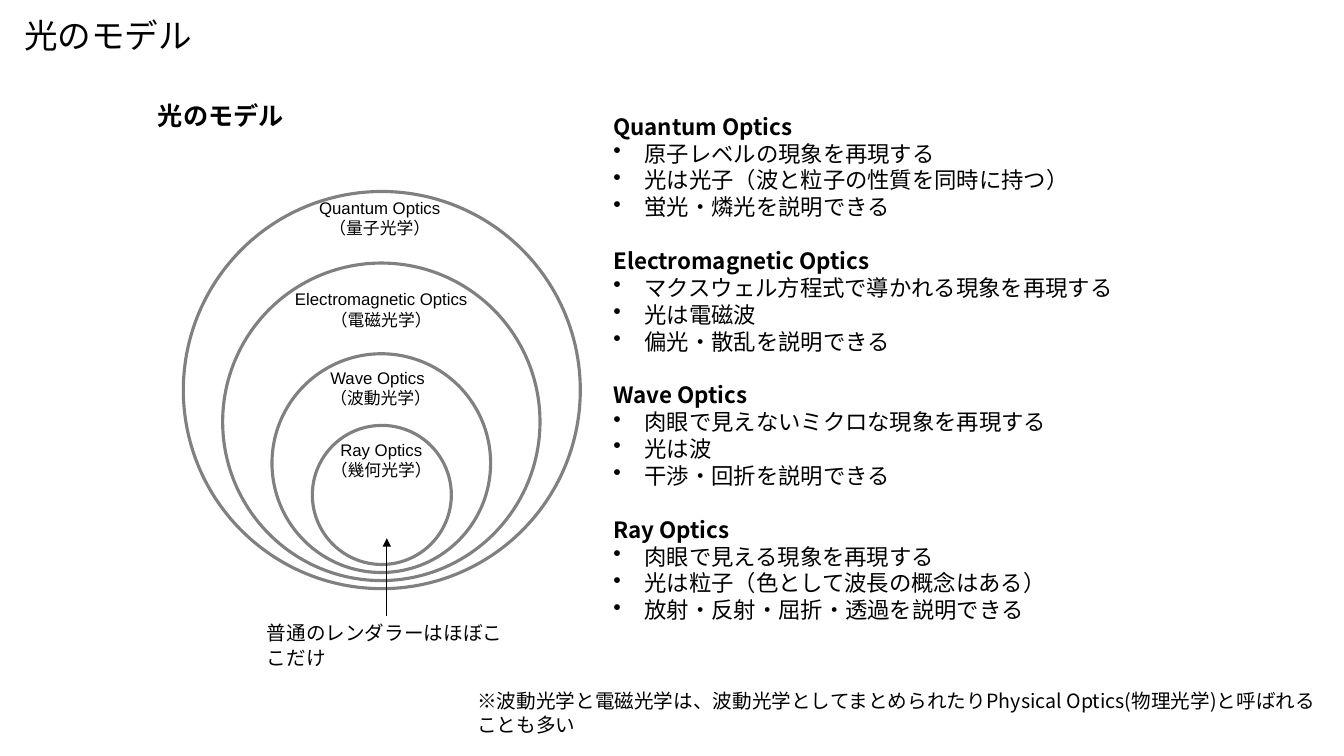
from collections import namedtuple
from dataclasses import dataclass

from lxml import etree
from pptx import Presentation
from pptx import util as u
from pptx.dml.color import RGBColor
from pptx.enum import shapes, text
from pptx.oxml import ns

PX = 9144  # EMU per px, 100 px to the inch
Box = namedtuple("Box", "left top width height")
Model = namedtuple("Model", "name translation diameter label_box align facts")


@dataclass(frozen=True)
class Theme:
    ink: RGBColor = RGBColor(0, 0, 0)
    ring: RGBColor = RGBColor(0x80, 0x80, 0x80)
    japanese: str = "Noto Sans CJK JP"
    latin: str = "Arial"
    title: int = 24
    heading: int = 18
    body: int = 16
    note: int = 14
    label: int = 12
    body_line: float = 19.2
    note_line: float = 17.2
    ring_line: float = 2.25
    arrow_line: float = 0.75


THEME = Theme()
CENTER, LEFT = text.PP_ALIGN.CENTER, text.PP_ALIGN.LEFT

# Outermost first; label boxes are relative to the diagram.
MODELS = [
    Model("Quantum Optics", "（量子光学）", 394, Box(124, 1, 142, 50), CENTER,
          ["原子レベルの現象を再現する", "光は光子（波と粒子の性質を同時に持つ）",
           "蛍光・燐光を説明できる"]),
    Model("Electromagnetic Optics", "（電磁光学）", 315, Box(100, 92, 193, 50), CENTER,
          ["マクスウェル方程式で導かれる現象を再現する", "光は電磁波",
           "偏光・散乱を説明できる"]),
    Model("Wave Optics", "（波動光学）", 217, Box(136, 170, 121, 50), LEFT,
          ["肉眼で見えないミクロな現象を再現する", "光は波",
           "干渉・回折を説明できる"]),
    Model("Ray Optics", "（幾何光学）", 138, Box(136, 241, 121, 50), CENTER,
          ["肉眼で見える現象を再現する", "光は粒子（色として波長の概念はある）",
           "放射・反射・屈折・透過を説明できる"]),
]


def place(box):
    return [u.Emu(length * PX) for length in box]


def inside(parent, box):
    return box._replace(left=parent.left + box.left, top=parent.top + box.top)


def format_paragraph(paragraph, size, latin=THEME.japanese, bold=False,
                     line=None, align=LEFT):
    paragraph.alignment = align
    if line:
        paragraph.line_spacing = u.Pt(line)
    for run in paragraph.runs:
        font = run.font
        font.size, font.bold, font.name = u.Pt(size), bold, latin
        font.color.rgb = THEME.ink
        east_asian = etree.Element(ns.qn("a:ea"), typeface=THEME.japanese)
        run._r.get_or_add_rPr().find(ns.qn("a:latin")).addnext(east_asian)


def add_text(slide, box, content, size, wrap=False, **style):
    shape = slide.shapes.add_textbox(*place(box))
    frame = shape.text_frame
    frame.word_wrap = wrap
    frame.text = content
    for paragraph in frame.paragraphs:
        format_paragraph(paragraph, size, **style)
    return shape


def add_bullet(paragraph, indent):
    properties = paragraph._p.get_or_add_pPr()
    properties.set("marL", str(indent * PX))
    properties.set("indent", str(-indent * PX))
    etree.SubElement(properties, ns.qn("a:buChar"), char="•")


def add_title(slide, box, content):
    title = slide.shapes.title
    title.left, title.top, title.width, title.height = place(box)
    frame = title.text_frame
    frame.text = content
    frame.word_wrap = False
    frame.vertical_anchor = text.MSO_ANCHOR.BOTTOM
    frame.margin_left = frame.margin_right = 0
    frame.margin_top = frame.margin_bottom = 0
    format_paragraph(frame.paragraphs[0], THEME.title)


def add_nested_circles(slide, box):
    """Circles on one vertical axis, their bottoms rising by an equal step."""
    step = 8
    for index, model in enumerate(MODELS):
        size = model.diameter
        circle_box = Box((box.width - size) // 2,
                         box.height - step * index - size, size, size)
        circle = slide.shapes.add_shape(
            shapes.MSO_SHAPE.OVAL, *place(inside(box, circle_box)))
        circle.shadow.inherit = False
        circle.fill.background()
        circle.line.color.rgb = THEME.ring
        circle.line.width = u.Pt(THEME.ring_line)
    for model in MODELS:
        add_text(slide, inside(box, model.label_box),
                 f"{model.name}\n{model.translation}", THEME.label,
                 latin=THEME.latin, align=model.align)


def add_callout(slide, box, content, arrow_length):
    """Note with an arrow rising from the middle of its top side."""
    note = add_text(slide, box, content, THEME.note, wrap=True,
                    line=THEME.note_line)
    x = box.left + box.width // 2
    arrow = slide.shapes.add_connector(
        shapes.MSO_CONNECTOR.STRAIGHT,
        *place((x, box.top, x, box.top - arrow_length)))
    arrow.begin_connect(note, 0)
    arrow.line.color.rgb = THEME.ink
    arrow.line.width = u.Pt(THEME.arrow_line)
    etree.SubElement(arrow.line._get_or_add_ln(), ns.qn("a:tailEnd"), type="triangle")
    etree.SubElement(arrow._element.spPr, ns.qn("a:effectLst"))


def add_model_list(slide, box):
    frame = slide.shapes.add_textbox(*place(box)).text_frame
    frame.word_wrap = True
    frame.text = "\n".join(
        line for model in MODELS for line in (model.name, *model.facts))
    names = {model.name for model in MODELS}
    for index, paragraph in enumerate(frame.paragraphs):
        is_name = paragraph.text in names
        format_paragraph(paragraph, THEME.body, bold=is_name, line=THEME.body_line)
        if not is_name:
            add_bullet(paragraph, 31)
        elif index:
            paragraph.space_before = u.Pt(THEME.body_line)


def main():
    presentation = Presentation()
    presentation.slide_width, presentation.slide_height = place((1334, 750))
    slide = presentation.slides.add_slide(presentation.slide_layouts[5])
    add_title(slide, Box(24, 0, 470, 55), "光のモデル")
    add_nested_circles(slide, Box(182, 190, 394, 394))
    add_model_list(slide, Box(599, 107, 598, 522))
    add_text(slide, Box(147, 95, 146, 40), "光のモデル", THEME.heading, bold=True)
    add_callout(slide, Box(255, 611, 258, 34), "普通のレンダラーはほぼここだけ", 77)
    add_text(slide, Box(464, 678, 867, 34),
             "※波動光学と電磁光学は、波動光学としてまとめられたり"
             "Physical Optics(物理光学)と呼ばれることも多い",
             THEME.note, wrap=True, line=THEME.note_line)
    presentation.save("out.pptx")


if __name__ == "__main__":
    main()
